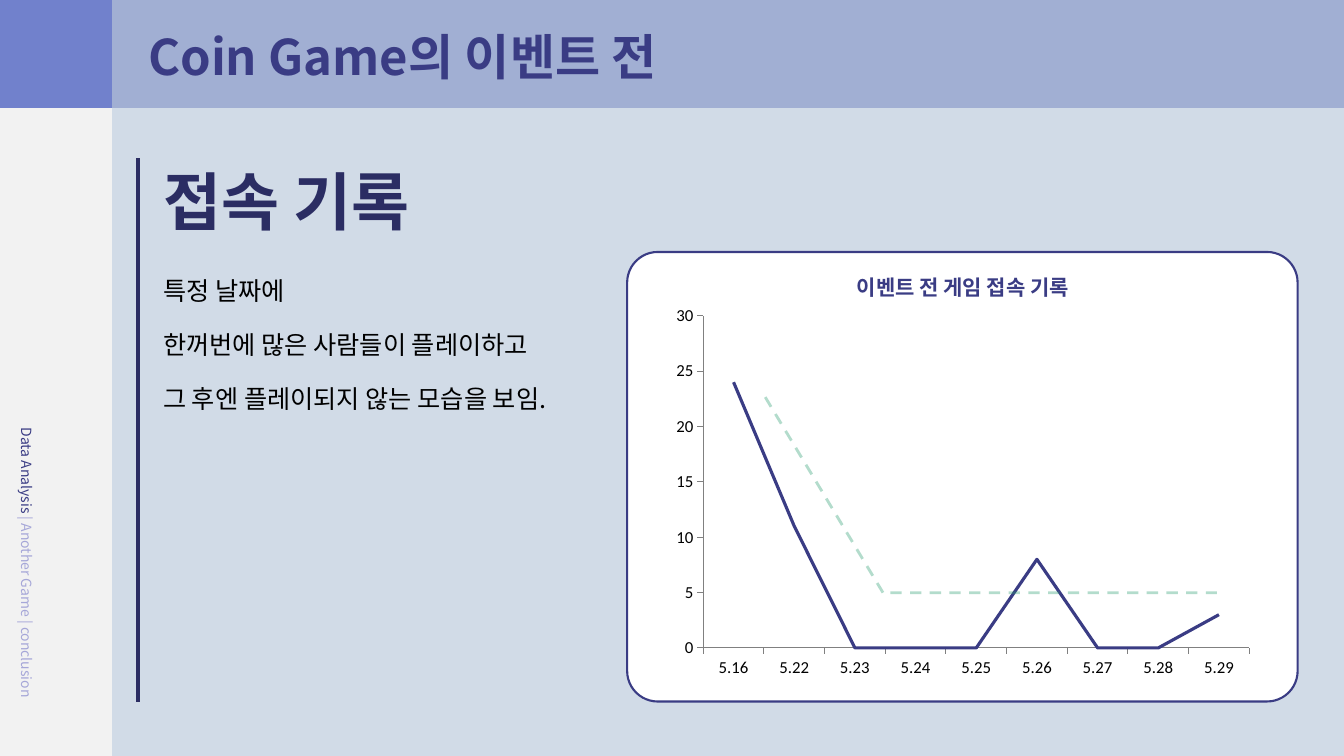
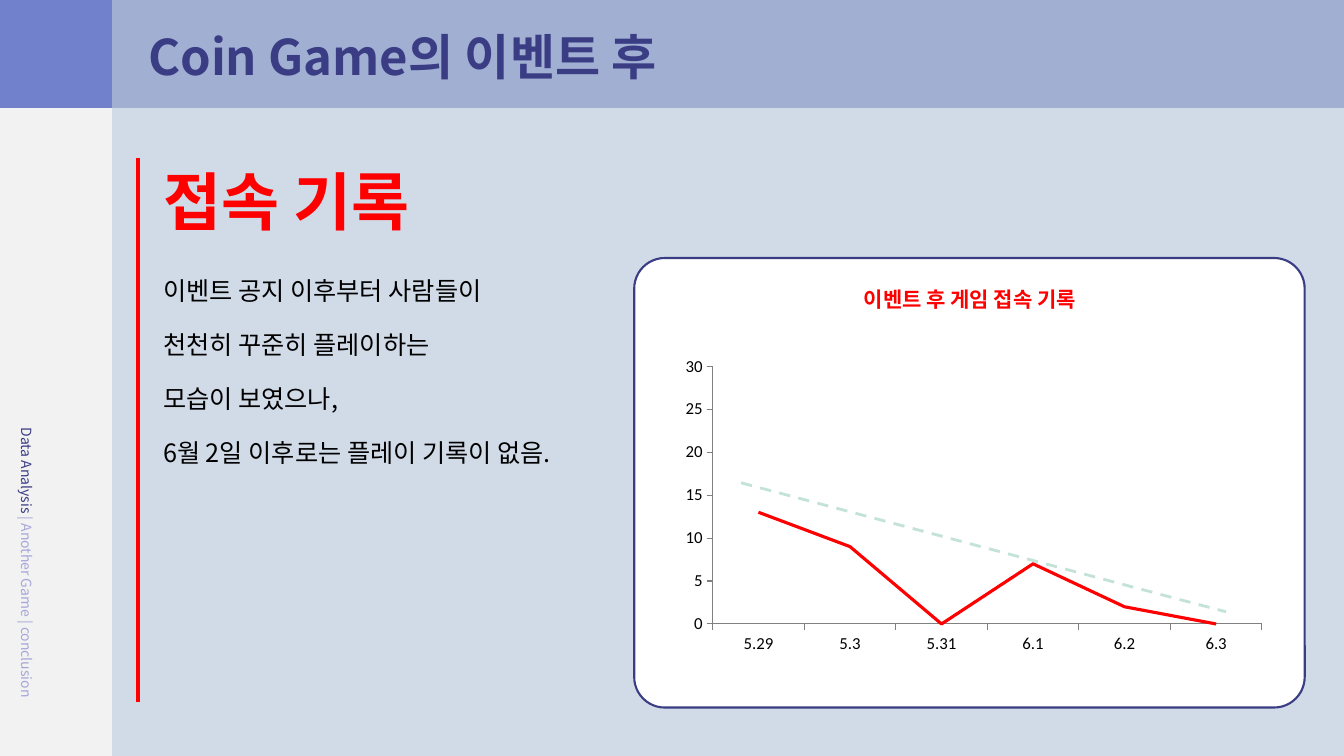
from lxml import etree
from pptx import Presentation
from pptx.chart.data import CategoryChartData
from pptx.dml.color import RGBColor
from pptx.enum.chart import XL_CHART_TYPE, XL_MARKER_STYLE, XL_TICK_MARK
from pptx.enum.dml import MSO_LINE
from pptx.enum.shapes import MSO_CONNECTOR, MSO_SHAPE
from pptx.enum.text import MSO_ANCHOR, MSO_AUTO_SIZE, PP_ALIGN
from pptx.oxml import parse_xml
from pptx.oxml.ns import nsdecls, qn
from pptx.util import Inches, Pt

# Shared style
BACKGROUND = RGBColor(0xD1, 0xDB, 0xE7)
SIDEBAR = RGBColor(0xF2, 0xF2, 0xF2)
BAND = RGBColor(0xA1, 0xAF, 0xD3)
CORNER = RGBColor(0x71, 0x81, 0xCC)
INDIGO = RGBColor(0x3A, 0x3C, 0x84)
NAVY = RGBColor(0x2B, 0x2D, 0x63)
LILAC = RGBColor(0xA6, 0xA7, 0xD8)
RED = RGBColor(0xFF, 0x00, 0x00)
GREEN = RGBColor(0x28, 0x9B, 0x6E)
GRAY = RGBColor(0x80, 0x80, 0x80)
WHITE = RGBColor(0xFF, 0xFF, 0xFF)
BLACK = RGBColor(0x00, 0x00, 0x00)
FONT = "Noto Sans CJK KR"
CHART_FONT = "Calibri"


def write(p, text, size=18, color=BLACK, bold=False, align=PP_ALIGN.LEFT, after=0):
    """Add a formatted run to a paragraph."""
    p.alignment = align
    p.space_before, p.space_after = Pt(0), Pt(after)
    p.line_spacing = 1.0
    r = p.add_run()
    r.text = text
    r.font.size, r.font.bold = Pt(size), bold
    r.font.color.rgb = color
    r.font.name = FONT
    etree.SubElement(r.font._element, qn("a:ea"), typeface=FONT)


class Deck:
    def __init__(self):
        self.prs = Presentation()
        self.prs.slide_width, self.prs.slide_height = Inches(13.33), Inches(7.5)
        fill = self.prs.slide_master.background.fill
        fill.solid()
        fill.fore_color.rgb = BACKGROUND

    def add_slide(self, title):
        self.slide = self.prs.slides.add_slide(self.prs.slide_layouts[5])
        self.shapes = self.slide.shapes
        # Bands
        self.box(0, 0, 1.11, 7.5, SIDEBAR)
        self.box(0, 0, 13.33, 1.07, BAND)
        self.box(0, 0, 1.11, 1.07, CORNER)
        # Title, brought in front of the bands
        sp = self.shapes.title
        self.shapes._spTree.append(sp._element)
        sp.left, sp.top = Inches(1.37), Inches(0.21)
        sp.width, sp.height = Inches(8.54), Inches(0.68)
        tf = self.frame(sp)
        write(tf.paragraphs[0], title, size=35, color=INDIGO, bold=True)
        # Section tracker
        sp = self.shapes.add_textbox(Inches(-1.25), Inches(5.53), Inches(3.03), Inches(0.26))
        sp.rotation = 90
        p = self.frame(sp).paragraphs[0]
        write(p, "Data Analysis ", size=10, color=INDIGO)
        write(p, "| Another Game | conclusion", size=10, color=LILAC)

    def frame(self, sp, anchor=MSO_ANCHOR.MIDDLE):
        tf = sp.text_frame
        tf.word_wrap = True
        tf.auto_size = MSO_AUTO_SIZE.NONE
        tf.vertical_anchor = anchor
        return tf

    def box(self, x, y, w, h, fill, line=None, preset=MSO_SHAPE.RECTANGLE):
        sp = self.shapes.add_shape(preset, Inches(x), Inches(y), Inches(w), Inches(h))
        sp.shadow.inherit = False
        sp.fill.solid()
        sp.fill.fore_color.rgb = fill
        if line is None:
            sp.line.fill.background()
        else:
            sp.line.color.rgb, sp.line.width = line, Pt(1.5)
        return sp

    def text(self, x, y, w, h, lines, anchor=MSO_ANCHOR.MIDDLE, **style):
        sp = self.shapes.add_textbox(Inches(x), Inches(y), Inches(w), Inches(h))
        tf = self.frame(sp, anchor)
        for i, line in enumerate(lines):
            p = tf.add_paragraph() if i else tf.paragraphs[0]
            write(p, line, **style)

    def line(self, x1, y1, x2, y2, color, width):
        cx = self.shapes.add_connector(
            MSO_CONNECTOR.STRAIGHT, Inches(x1), Inches(y1), Inches(x2), Inches(y2))
        cx.line.color.rgb, cx.line.width = color, Pt(width)
        etree.SubElement(cx._element.spPr, qn("a:effectLst"))
        return cx

    def trend(self, x1, y1, x2, y2, opacity):
        cx = self.line(x1, y1, x2, y2, GREEN, 2)
        cx.line.dash_style = MSO_LINE.DASH
        clr = next(cx._element.spPr.iter(qn("a:srgbClr")))
        etree.SubElement(clr, qn("a:alpha"), val=str(opacity * 1000))

    def summary(self, lines, color):
        self.line(1.37, 1.57, 1.37, 6.96, color, 3)
        self.text(1.52, 1.57, 3.78, 0.84, ["접속 기록"], size=45, color=color, bold=True)
        self.text(1.52, 2.68, 4.6, 2.4, lines, anchor=MSO_ANCHOR.TOP, after=17)

    def card(self, x, y, caption, caption_y, color):
        sp = self.box(x, y, 6.65, 4.46, WHITE, INDIGO, MSO_SHAPE.ROUNDED_RECTANGLE)
        sp.adjustments[0] = 0.068
        self.text(x + 1.67, caption_y, 3.32, 0.35, [caption],
                  size=15, color=color, bold=True, align=PP_ALIGN.CENTER)

    def chart(self, x, y, w, h, records, color, plot):
        data = CategoryChartData()
        data.categories = list(records)
        data.add_series("Series 1", list(records.values()))
        chart = self.shapes.add_chart(
            XL_CHART_TYPE.LINE, Inches(x), Inches(y), Inches(w), Inches(h), data).chart
        chart.has_title = chart.has_legend = False
        chart.font.name, chart.font.size = CHART_FONT, Pt(12)
        chart.font.color.rgb = BLACK
        for axis in (chart.category_axis, chart.value_axis):
            axis.has_major_gridlines = False
            axis.major_tick_mark = XL_TICK_MARK.OUTSIDE
            axis.minor_tick_mark = XL_TICK_MARK.NONE
            axis.format.line.color.rgb = GRAY
        axis = chart.value_axis
        axis.minimum_scale, axis.maximum_scale, axis.major_unit = 0, 30, 5
        chart.plots[0].vary_by_categories = False
        series = chart.plots[0].series[0]
        series.smooth = False
        series.marker.style = XL_MARKER_STYLE.NONE
        series.format.line.color.rgb, series.format.line.width = color, Pt(2.25)
        # Fixed inner plot area
        modes = "".join(f'<c:{k}Mode val="edge"/>' for k in "xy")
        sizes = "".join(f'<c:{k} val="{v}"/>' for k, v in zip("xywh", plot))
        area = chart._chartSpace.chart.plotArea
        for old in area.findall(qn("c:layout")):
            area.remove(old)
        area.insert(0, parse_xml(
            f'<c:layout {nsdecls("c")}><c:manualLayout><c:layoutTarget val="inner"/>'
            f'{modes}{sizes}</c:manualLayout></c:layout>'))


def main():
    deck = Deck()

    # Before the event
    deck.add_slide("Coin Game의 이벤트 전")
    deck.summary(["특정 날짜에", "한꺼번에 많은 사람들이 플레이하고",
                  "그 후엔 플레이되지 않는 모습을 보임."], NAVY)
    deck.card(6.22, 2.5, "이벤트 전 게임 접속 기록", 2.67, INDIGO)
    deck.chart(6.59, 2.96, 5.92, 3.85,
               {"5.16": 24, "5.22": 11, "5.23": 0, "5.24": 0, "5.25": 0,
                "5.26": 8, "5.27": 0, "5.28": 0, "5.29": 3},
               INDIGO, (0.065, 0.045, 0.915, 0.856))
    deck.trend(7.59, 3.94, 8.77, 5.9, 34)
    deck.trend(8.83, 5.88, 12.07, 5.88, 34)

    # After the event
    deck.add_slide("Coin Game의 이벤트 후")
    deck.summary(["이벤트 공지 이후부터 사람들이", "천천히 꾸준히 플레이하는",
                  "모습이 보였으나,", "6월 2일 이후로는 플레이 기록이 없음."], RED)
    deck.card(6.29, 2.56, "이벤트 후 게임 접속 기록", 2.79, RED)
    deck.chart(6.71, 3.33, 5.98, 3.27,
               {"5.29": 13, "5.3": 9, "5.31": 0, "6.1": 7, "6.2": 2, "6.3": 0},
               RED, (0.06, 0.093, 0.911, 0.782))
    deck.trend(7.35, 4.79, 12.16, 6.07, 28)

    deck.prs.save("out.pptx")


if __name__ == "__main__":
    main()
